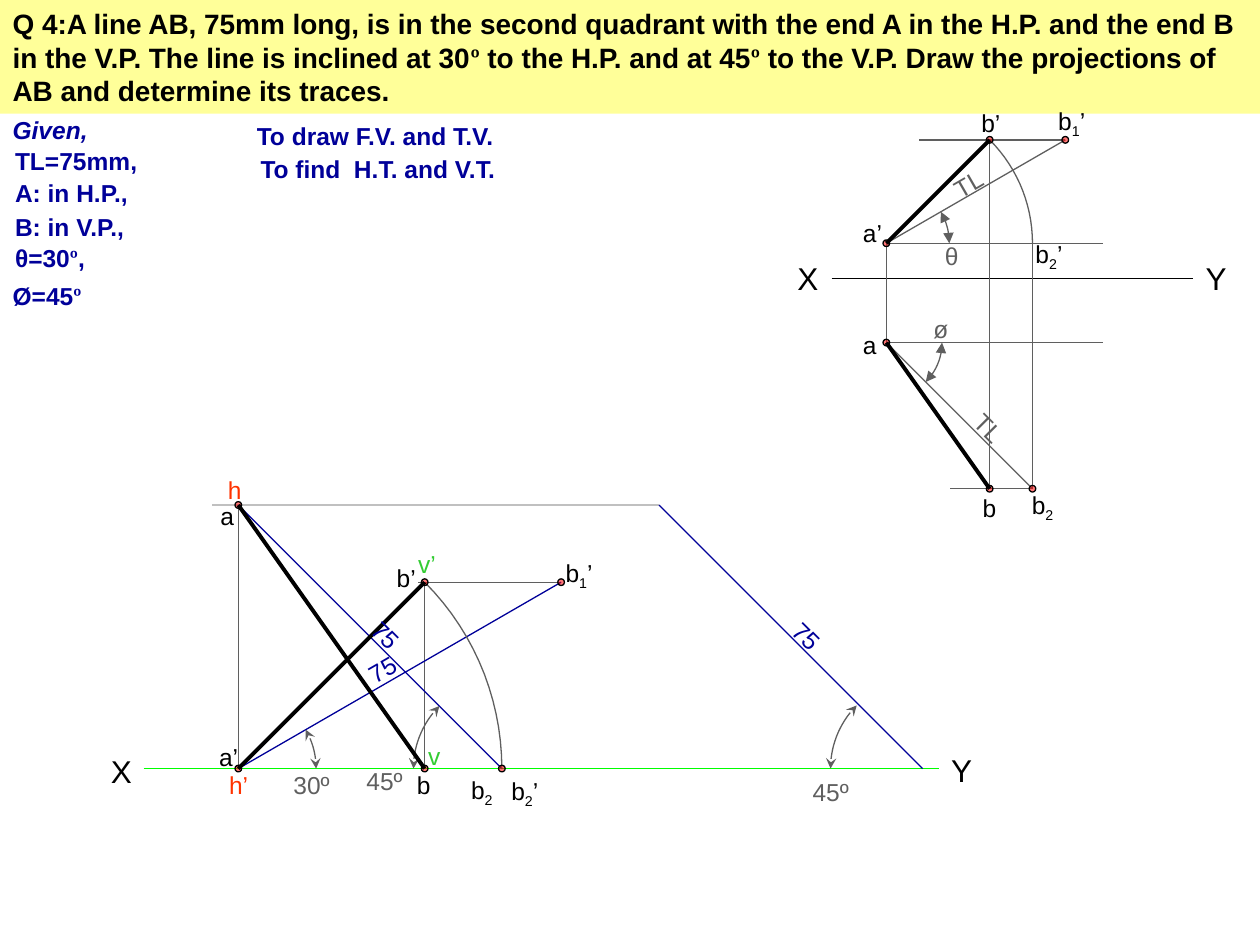
from dataclasses import dataclass
from math import cos, radians, sin, sqrt

from lxml import etree
from pptx import Presentation
from pptx.dml.color import RGBColor
from pptx.enum import shapes, text
from pptx.oxml.ns import qn
from pptx.util import Pt


@dataclass(frozen=True)
class Theme:
    font: str = "Arial"
    degree_font: str = "Times New Roman"
    title: int = 16
    axis: int = 18
    label: int = 14
    thin: float = 0.75
    heavy: float = 2.25
    dot: float = 3.8
    black: str = "000000"
    grey: str = "5F5F5F"
    pale: str = "C0C0C0"
    navy: str = "000099"
    red: str = "FF3300"
    dot_red: str = "FF0000"
    green: str = "33CC33"
    axis_green: str = "00FF00"
    yellow: str = "FFFF99"


THEME = Theme()

# Content: in titles and lists every second run is a degree sign
QUESTION = ("Q 4:A line AB, 75mm long, is in the second quadrant with the end A in the H.P. "
            "and the end B in the V.P. The line is inclined at 30", "º",
            " to the H.P. and at 45", "º",
            " to the V.P. Draw the projections of AB and determine its traces.")
GIVEN = [  # runs, gap above, indent
    (("Given,",), 0, 0),
    (("TL=75mm,",), 1.4, 1.4),
    (("A: in H.P.,",), 1.2, 1.4),
    (("B: in V.P.,",), 2.6, 1.4),
    (("θ=30", "º", ","), 1.2, 1.4),
    (("Ø=45", "º"), 4.6, 0),
]
GOALS = [("To draw F.V. and T.V.", 139.7, 65.5, 221),
         ("To find  H.T. and V.T.", 141.8, 84.2, 169.2)]

# Projection figures: end A, true length, lines and angle arcs
SOLUTION = dict(
    x=136.2, front=439.2, top=288.6, length=213, tl_colour=THEME.navy,
    level_start=239, axis=(82.1, 536.4, 439.2, THEME.axis_green, 1),
    extra=[((376.6, 288.6), (121, 288.6), THEME.pale),
           ((376.6, 288.6), (527.2, 439.2), THEME.navy)],
    arrow="stealth",  # centre, radius, start angle, end angle
    angles=[((136.2, 439.2), 44.5, 30, 0),
            ((286.8, 439.2), 50.5, 180, 135),
            ((525.6, 439.2), 51, 180, 135)])
SKETCH = dict(
    x=506.5, front=139, top=195.8, length=118.1, tl_colour=THEME.grey,
    level_start=524.9, axis=(475.2, 681.8, 159.1, THEME.black, 0.75),
    extra=[((506.5, 139), (630, 139), THEME.grey),
           ((506.5, 195.8), (630, 195.8), THEME.grey),
           ((590, 279.3), (590, 139), THEME.grey),
           ((590, 279.3), (542.9, 279.3), THEME.grey)],
    arrow="triangle",
    angles=[((506.5, 139), 36, 30, 0), ((506.5, 195.8), 31.8, 0, -45)])

# Labels by colour: runs (every second one a subscript), left, top, width, rotation
LABELS = {
    THEME.black: [
        (("a’",), 118.1, 420.5, 34, 0), (("a",), 118.8, 283, 34, 0),
        (("b", "1", "’"), 316.1, 315.4, 34, 0), (("b", "2"), 262.1, 439.2, 34, 0),
        (("b", "2", "’"), 285.1, 439.9, 34, 0), (("b’",), 219.6, 318.2, 34, 0),
        (("b",), 231.1, 436.3, 26, 0),
        (("a’",), 486, 121, 34, 0), (("a",), 486, 185, 34, 0),
        (("b", "1", "’"), 597.6, 56.9, 34, 0), (("b", "2"), 582.5, 276.5, 34, 0),
        (("b", "2", "’"), 584.6, 133.2, 34, 0), (("b’",), 553.7, 58.3, 34, 0),
        (("b",), 554.4, 277.9, 34, 0)],
    THEME.grey: [
        (("30º",), 160.6, 436.3, 48, 0), (("45º",), 457.2, 440.6, 48, 0),
        (("45º",), 202.3, 434.2, 37, 0), (("θ",), 532.8, 133.9, 25, 0),
        (("ø",), 526.3, 175.7, 25, 0), (("TL",), 537.8, 92.2, 33, 330),
        (("TL",), 549.4, 233.3, 33, 45)],
    THEME.navy: [
        (("75",), 203, 368.6, 37.4, 330), (("75",), 445, 354.2, 37.4, 45),
        (("75",), 204.5, 353.5, 37.4, 45)],
    THEME.red: [(("h’",), 123.8, 436.3, 34, 0), (("h",), 123.1, 267.8, 34, 0)],
    THEME.green: [(("v",), 237.6, 419.8, 26, 0), (("v’",), 231.8, 310.3, 34, 0)],
}
AXIS_LABELS = [("X", 56.2, 426.2, 42.5), ("Y", 536.4, 425.5, 38),
               ("X", 448.6, 144.7, 42.5), ("Y", 681.8, 144.7, 38)]


def rgb(value):
    return RGBColor.from_string(value)


def add_runs(paragraph, runs, size, colour, bold=False, italic=False):
    for index, words in enumerate(runs):
        run = paragraph.add_run()
        run.text = words
        font = run.font
        font.size, font.bold, font.italic = Pt(size), bold, italic
        font.name = THEME.degree_font if words == "º" else THEME.font
        font.color.rgb = rgb(colour)
        if index % 2 and words != "º":
            run._r.get_or_add_rPr().set("baseline", "-25000")


def place(shape, left, top, width, height):
    shape.left, shape.top, shape.width, shape.height = map(Pt, (left, top, width, height))


def add_label(slide, runs, left, top, width, rotation=0,
              size=THEME.label, colour=THEME.black, bold=False):
    height = 24 if size == THEME.label else 29
    box = slide.shapes.add_textbox(Pt(left), Pt(top), Pt(width), Pt(height))
    box.rotation = rotation
    box.text_frame.word_wrap = True
    add_runs(box.text_frame.paragraphs[0], runs, size, colour, bold)


def add_line(slide, start, end, colour, width=THEME.thin):
    line = slide.shapes.add_connector(shapes.MSO_CONNECTOR.STRAIGHT, *map(Pt, start + end))
    line.line.color.rgb, line.line.width = rgb(colour), Pt(width)
    etree.SubElement(line._element.spPr, qn("a:effectLst"))


def add_arc(slide, centre, radius, first, last, arrow=None, steps=15):
    angles = [radians(first + (last - first) * i / steps) for i in range(steps + 1)]
    points = [(Pt(centre[0] + radius * cos(a)), Pt(centre[1] - radius * sin(a))) for a in angles]
    builder = slide.shapes.build_freeform(*points[0])
    builder.add_line_segments(points[1:], close=False)
    arc = builder.convert_to_shape()
    arc.shadow.inherit = False
    arc.fill.background()
    arc.line.color.rgb, arc.line.width = rgb(THEME.grey), Pt(THEME.thin)
    if arrow:
        for end in ("a:headEnd", "a:tailEnd"):
            etree.SubElement(arc.line._get_or_add_ln(), qn(end), type=arrow)


def add_dot(slide, x, y):
    size = THEME.dot
    dot = slide.shapes.add_shape(shapes.MSO_SHAPE.OVAL, Pt(x - size / 2), Pt(y - size / 2),
                                 Pt(size), Pt(size))
    dot.shadow.inherit = False
    dot.fill.solid()
    dot.fill.fore_color.rgb = rgb(THEME.dot_red)
    colour = dot._element.spPr.find(".//" + qn("a:srgbClr"))
    etree.SubElement(colour, qn("a:alpha"), val="53000")
    dot.line.color.rgb, dot.line.width = rgb(THEME.black), Pt(THEME.thin)


def add_projection(slide, figure):
    # Line at 30º to the H.P. and 45º to the V.P.
    x, front, top, length = (figure[key] for key in ("x", "front", "top", "length"))
    rise, depth = length * sin(radians(30)), length * sin(radians(45))
    plan = length * cos(radians(45))
    b_x = x + sqrt(plan ** 2 - rise ** 2)
    a_front, a_top = (x, front), (x, top)
    b_front, b_top = (b_x, front - rise), (b_x, top + depth)
    b1_front = (x + length * cos(radians(30)), front - rise)
    b2_top = (x + plan, top + depth)

    left, right, level, colour, width = figure["axis"]
    add_line(slide, (left, level), (right, level), colour, width)
    thin_lines = figure["extra"] + [
        (a_front, a_top, THEME.grey), (b_front, b_top, THEME.grey),
        (b1_front, (figure["level_start"], b1_front[1]), THEME.grey),
        (a_front, b1_front, figure["tl_colour"]), (a_top, b2_top, figure["tl_colour"])]
    for line in thin_lines:
        add_line(slide, *line)
    add_arc(slide, a_front, plan, 45, 0)
    for angle in figure["angles"]:
        add_arc(slide, *angle, arrow=figure["arrow"])
    for point in (a_front, a_top, b_front, b_top, b1_front, b2_top):
        add_dot(slide, *point)
    for start, end in ((a_front, b_front), (a_top, b_top)):
        add_line(slide, start, end, THEME.black, THEME.heavy)


def main():
    presentation = Presentation()
    presentation.slide_width, presentation.slide_height = Pt(720), Pt(540)
    slide = presentation.slides.add_slide(presentation.slide_layouts[1])

    # Question and given data
    title, body = slide.placeholders
    place(title, 0, 0, 720, 65)
    title.fill.solid()
    title.fill.fore_color.rgb = rgb(THEME.yellow)
    place(body, 0, 65.5, 112, 110)
    for shape, anchor in ((title, text.MSO_ANCHOR.MIDDLE), (body, text.MSO_ANCHOR.TOP)):
        shape.text_frame.auto_size = text.MSO_AUTO_SIZE.NONE
        shape.text_frame.vertical_anchor = anchor
    body.text_frame.margin_top = body.text_frame.margin_bottom = 0
    heading = title.text_frame.paragraphs[0]
    heading.alignment = text.PP_ALIGN.LEFT
    add_runs(heading, QUESTION, THEME.title, THEME.black, bold=True)
    for index, (runs, gap, indent) in enumerate(GIVEN):
        frame = body.text_frame
        paragraph = frame.add_paragraph() if index else frame.paragraphs[0]
        paragraph.space_before = Pt(gap)
        properties = paragraph._p.get_or_add_pPr()
        properties.set("marL", str(Pt(indent)))
        properties.set("indent", "0")
        etree.SubElement(properties, qn("a:buNone"))
        add_runs(paragraph, runs, THEME.label, THEME.navy, bold=True, italic=index == 0)
    for words, left, top, width in GOALS:
        add_label(slide, (words,), left, top, width, colour=THEME.navy, bold=True)

    # Figures and their labels
    for figure in (SOLUTION, SKETCH):
        add_projection(slide, figure)
    for words, left, top, width in AXIS_LABELS:
        add_label(slide, (words,), left, top, width, size=THEME.axis)
    for colour, labels in LABELS.items():
        for label in labels:
            add_label(slide, *label, colour=colour)

    presentation.save("out.pptx")


if __name__ == "__main__":
    main()
